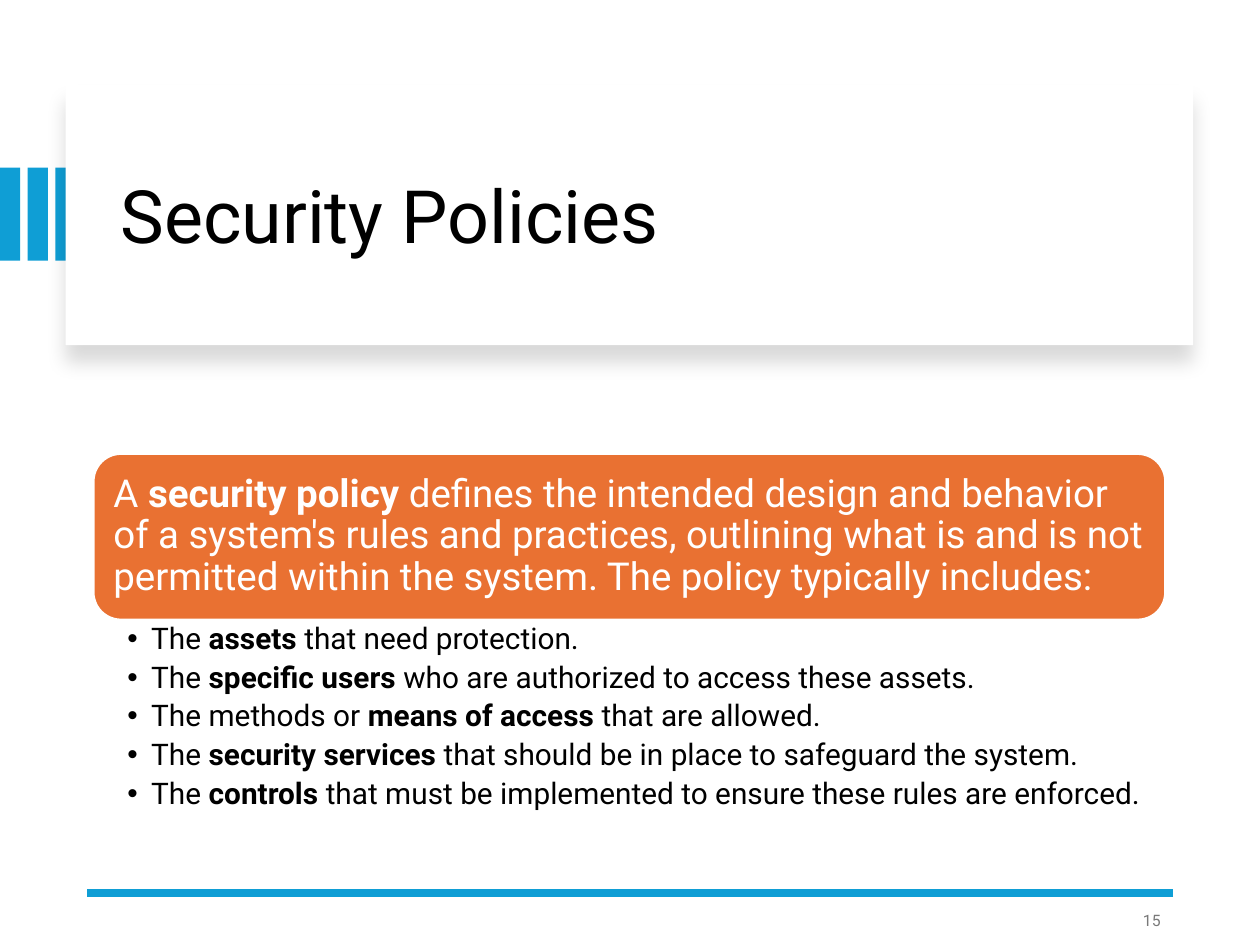
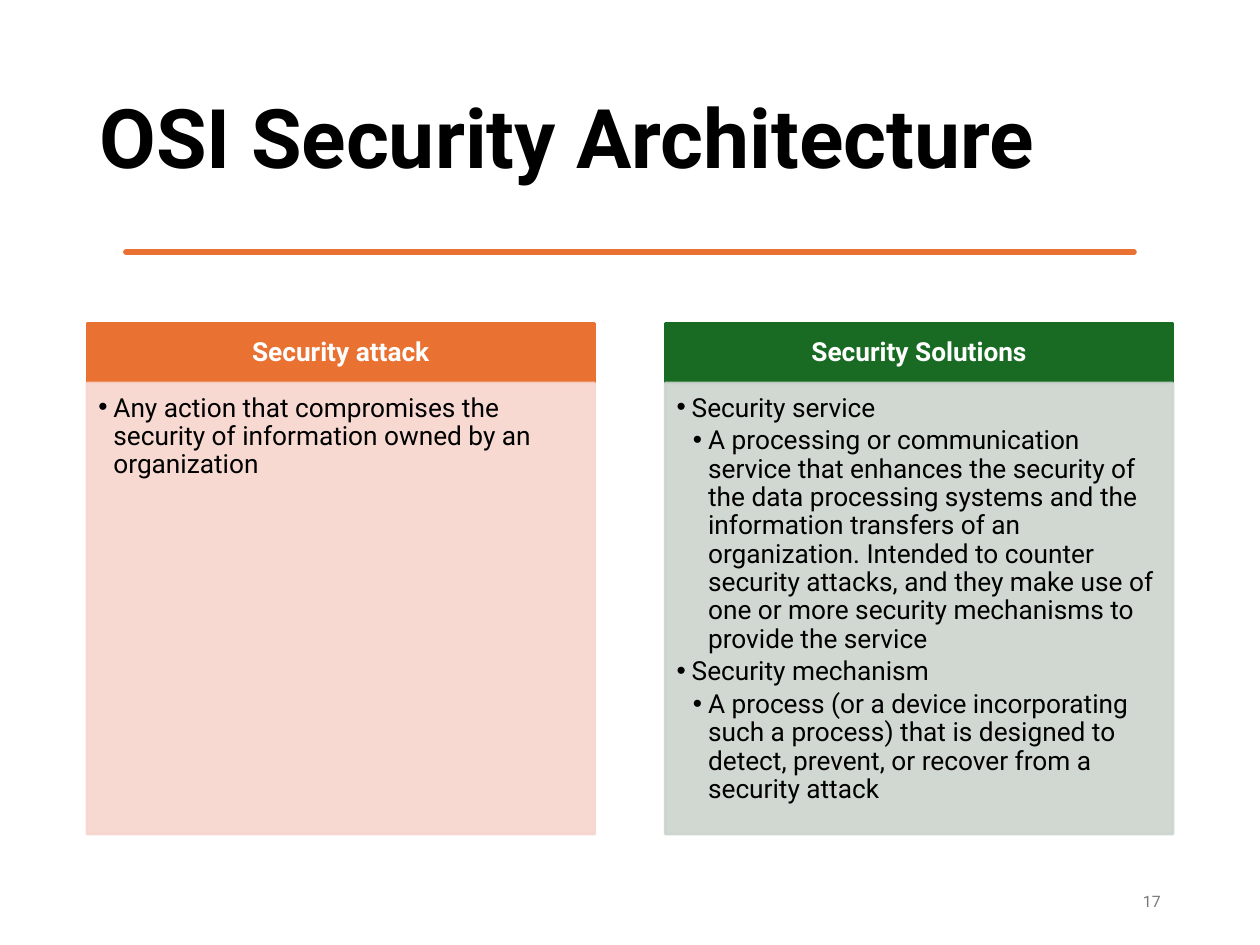
from lxml import etree
from pptx import Presentation
from pptx.dml.color import RGBColor
from pptx.enum.shapes import MSO_CONNECTOR, MSO_SHAPE
from pptx.enum.text import MSO_ANCHOR, PP_ALIGN
from pptx.oxml.ns import qn
from pptx.util import Inches, Pt

RECT, ROUNDED = MSO_SHAPE.RECTANGLE, MSO_SHAPE.ROUNDED_RECTANGLE
STRAIGHT = MSO_CONNECTOR.STRAIGHT
TOP, MIDDLE = MSO_ANCHOR.TOP, MSO_ANCHOR.MIDDLE
LEFT, CENTER, RIGHT = PP_ALIGN.LEFT, PP_ALIGN.CENTER, PP_ALIGN.RIGHT

FONT = "Roboto"
COLORS = {
    "text": "000000", "white": "FFFFFF", "number": "797979", "blue": "0F9ED5",
    "orange": "E97132", "green": "196B24", "pale_orange": "F7D5CE", "pale_green": "CCD4CD",
}


def rgb(name):
    return RGBColor.from_string(COLORS[name])


def write(slide, box, text, size, color="text", bold=False, align=LEFT, anchor=MIDDLE,
          insets=(0.1, 0.05, 0.1, 0.05), spacing=0.9, after=0, indents=None, hang=0):
    """Write a string or a list of (level, string); ** switches bold on and off."""
    frame = slide.shapes.add_textbox(*map(Inches, box)).text_frame
    frame.word_wrap = True
    frame.vertical_anchor = anchor
    (frame.margin_left, frame.margin_top,
     frame.margin_right, frame.margin_bottom) = map(Inches, insets)
    entries = [(0, text)] if isinstance(text, str) else text
    for i, (level, words) in enumerate(entries):
        paragraph = frame.paragraphs[0] if i == 0 else frame.add_paragraph()
        paragraph.alignment = align
        paragraph.line_spacing = spacing
        paragraph.space_after = Pt(after)
        if indents:
            paragraph.level = level
            props = paragraph._p.get_or_add_pPr()
            props.set("marL", str(Inches(indents[level - 1])))
            props.set("indent", str(-Inches(hang)))
            etree.SubElement(props, qn("a:buFont")).set("typeface", "Arial")
            etree.SubElement(props, qn("a:buChar")).set("char", "•")
        for part, piece in enumerate(words.split("**")):
            if piece:
                run = paragraph.add_run()
                run.text = piece
                run.font.name = FONT
                run.font.size = Pt(size)
                run.font.bold = bold or part % 2 == 1
                run.font.color.rgb = rgb(color)


def paint(shape, fill, line=None, width=1.5, alpha=None):
    shape.shadow.inherit = False
    shape.fill.solid()
    shape.fill.fore_color.rgb = rgb(fill)
    if line:
        shape.line.color.rgb = rgb(line)
        shape.line.width = Pt(width)
    else:
        shape.line.fill.background()
    if alpha:
        for color in shape._element.spPr.iter(qn("a:srgbClr")):
            etree.SubElement(color, qn("a:alpha")).set("val", str(alpha * 1000))


prs = Presentation()
prs.slide_width, prs.slide_height = Inches(10), Inches(7.5)
blank = prs.slide_layouts[6]
policies = prs.slides.add_slide(blank)
architecture = prs.slides.add_slide(blank)

# Page numbers
for slide, number, top in ((policies, "15", 7.1), (architecture, "17", 6.95)):
    write(slide, (7.06, top, 2.25, 0.4), number, 9, color="number", align=RIGHT, spacing=1)

# Security Policies: blue bars behind the title card
for i in range(3):
    bar = policies.shapes.add_shape(RECT, Inches(0.22 * i), Inches(1.33), Inches(0.16), Inches(0.74))
    paint(bar, "blue")
card = policies.shapes.add_shape(RECT, Inches(0.52), Inches(0.67), Inches(8.95), Inches(2.07))
paint(card, "white")
card_shadow = etree.SubElement(
    card._element.spPr.find(qn("a:effectLst")), qn("a:outerShdw"),
    blurRad=str(Pt(11)), dist=str(Pt(10)), dir="5400000", algn="t", rotWithShape="0")
shadow_color = etree.SubElement(card_shadow, qn("a:srgbClr"), val=COLORS["text"])
etree.SubElement(shadow_color, qn("a:alpha"), val="15000")
write(policies, (0.86, 0.89, 8.34, 1.7), "Security Policies", 42)

# Footer rule
rule = policies.shapes.add_connector(STRAIGHT, Inches(9.31), Inches(7.09), Inches(0.69), Inches(7.09))
rule.line.color.rgb = rgb("blue")
rule.line.width = Pt(4.5)
etree.SubElement(rule._element.spPr, qn("a:effectLst"))

# Definition and what a policy includes
definition = policies.shapes.add_shape(ROUNDED, Inches(0.74), Inches(3.6), Inches(8.51), Inches(1.32))
paint(definition, "orange", "white")
write(policies, (0.81, 3.66, 8.38, 1.19),
      "A **security policy** defines the intended design and behavior of a system's rules and "
      "practices, outlining what is and is not permitted within the system. "
      "The policy typically includes:",
      22, color="white", insets=(0.09,) * 4)
inclusions = [
    "The **assets** that need protection.",
    "The **specific users** who are authorized to access these assets.",
    "The methods or **means of access** that are allowed.",
    "The **security services** that should be in place to safeguard the system.",
    "The **controls** that must be implemented to ensure these rules are enforced.",
]
write(policies, (0.74, 4.92, 8.51, 1.59), [(1, item) for item in inclusions], 17,
      anchor=TOP, insets=(0.27, 0.03, 0.17, 0.03), after=3.8, indents=(0.19,), hang=0.19)

# OSI Security Architecture: title
write(architecture, (0.69, 0.4, 8.62, 1.45), "OSI Security Architecture", 47, bold=True)

# Hand-drawn underline: each curve is control x, y, control x, y, end x, y
start = (0.69, 2.04)
curves = [
    (0.82, 2.03, 0.92, 2.06, 1.14, 2.04), (1.37, 2.02, 1.66, 2.02, 1.94, 2.04),
    (2.22, 2.05, 2.2, 2.03, 2.4, 2.04), (2.6, 2.05, 2.84, 2.05, 3.02, 2.04),
    (3.2, 2.03, 3.62, 2.05, 3.91, 2.04), (4.2, 2.03, 4.42, 2.06, 4.62, 2.04),
    (4.83, 2.02, 5.06, 2.01, 5.42, 2.04), (5.77, 2.07, 5.91, 2.04, 6.05, 2.04),
    (6.18, 2.04, 6.5, 2.04, 6.76, 2.04), (7.01, 2.04, 7.41, 2, 7.64, 2.04),
    (7.88, 2.08, 8.04, 2.04, 8.18, 2.04), (8.32, 2.04, 8.78, 2.04, 9.24, 2.04),
    (9.24, 2.05, 9.24, 2.05, 9.24, 2.06), (9.11, 2.04, 8.77, 2.07, 8.61, 2.06),
    (8.45, 2.05, 8.29, 2.07, 8.15, 2.06), (8.02, 2.05, 7.62, 2.08, 7.44, 2.06),
    (7.26, 2.04, 7.09, 2.05, 6.9, 2.06), (6.72, 2.07, 6.5, 2.04, 6.19, 2.06),
    (5.88, 2.08, 5.78, 2.07, 5.48, 2.06), (5.17, 2.05, 5.1, 2.09, 4.76, 2.06),
    (4.42, 2.03, 4.32, 2.09, 4.05, 2.06), (3.78, 2.03, 3.62, 2.06, 3.42, 2.06),
    (3.22, 2.06, 3.01, 2.03, 2.63, 2.06), (2.24, 2.09, 2.25, 2.07, 1.91, 2.06),
    (1.57, 2.05, 0.96, 2.1, 0.69, 2.06),
]
points = []
x0, y0 = start
for x1, y1, x2, y2, x3, y3 in curves:
    for step in range(1, 7):
        t = step / 6
        a, b, c, d = (1 - t) ** 3, 3 * t * (1 - t) ** 2, 3 * t * t * (1 - t), t ** 3
        points.append((a * x0 + b * x1 + c * x2 + d * x3, a * y0 + b * y1 + c * y2 + d * y3))
    x0, y0 = x3, y3
outline = architecture.shapes.build_freeform(*start, scale=Inches(1))
outline.add_line_segments(points, close=True)
underline = outline.convert_to_shape()
paint(underline, "orange", "orange", 3.25)
etree.SubElement(underline.line._get_or_add_ln(), qn("a:round"))

# Attack and solution columns
columns = [
    ("Security attack", "orange", "pale_orange", [
        (1, "Any action that compromises the security of information owned by an organization"),
    ]),
    ("Security Solutions", "green", "pale_green", [
        (1, "Security service"),
        (2, "A processing or communication service that enhances the security of the data "
            "processing systems and the information transfers of an organization. Intended to "
            "counter security attacks, and they make use of one or more security mechanisms to "
            "provide the service"),
        (1, "Security mechanism"),
        (2, "A process (or a device incorporating such a process) that is designed to detect, "
            "prevent, or recover from a security attack"),
    ]),
]
for i, (heading, strong, pale, points_made) in enumerate(columns):
    left = 0.69 + 4.59 * i
    header_box = (left, 2.57, 4.03, 0.47)
    body_box = (left, 3.04, 4.03, 3.58)
    header = architecture.shapes.add_shape(RECT, *map(Inches, header_box))
    paint(header, strong, strong)
    write(architecture, header_box, heading, 15, color="white", bold=True, align=CENTER,
          insets=(0.12, 0.07, 0.12, 0.07))
    body = architecture.shapes.add_shape(RECT, *map(Inches, body_box))
    paint(body, pale, pale, alpha=90)
    write(architecture, body_box, points_made, 15, anchor=TOP, insets=(0.09, 0.09, 0.12, 0.13),
          after=2.4, indents=(0.12, 0.25), hang=0.12)

prs.save("out.pptx")
